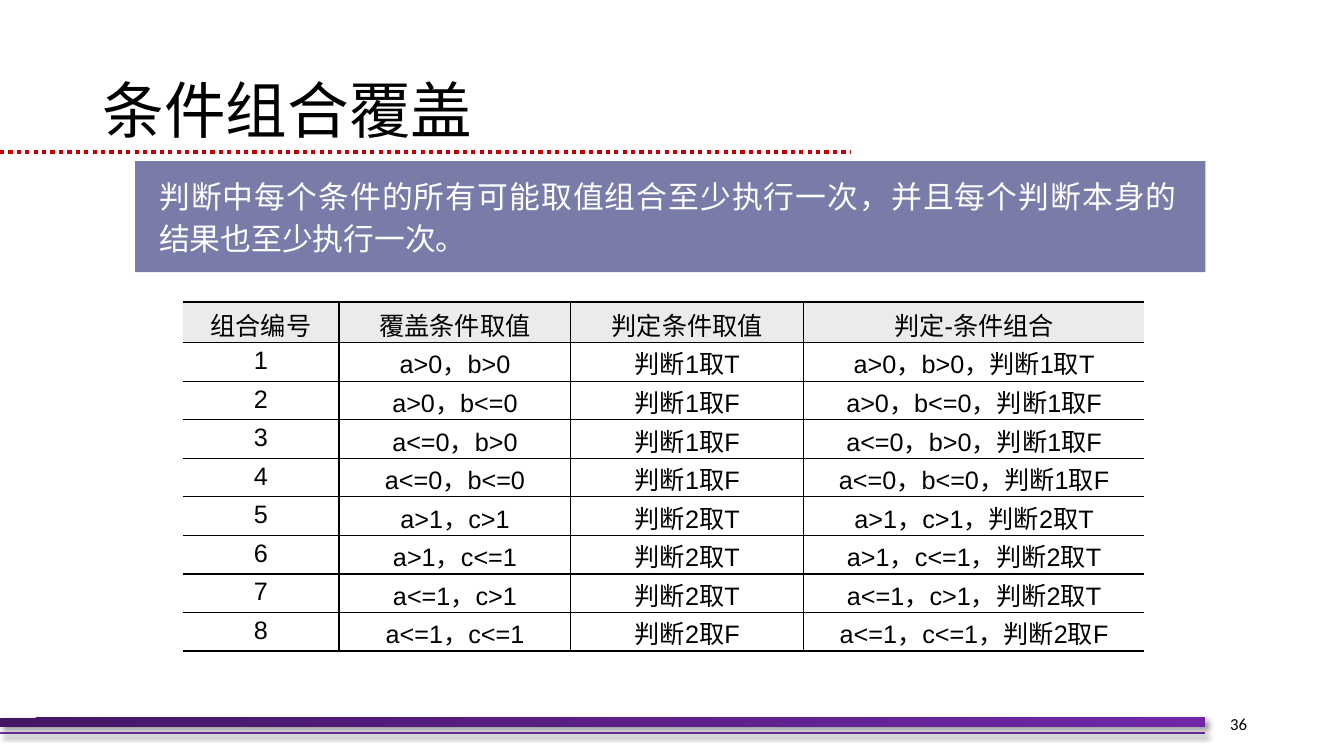
"""Build the slide on condition combination coverage."""
from itertools import groupby

from lxml import etree
from pptx import Presentation
from pptx.dml.color import RGBColor
from pptx.enum.dml import MSO_LINE
from pptx.enum.shapes import MSO_CONNECTOR, MSO_SHAPE
from pptx.enum.text import MSO_ANCHOR, MSO_AUTO_SIZE, PP_ALIGN
from pptx.oxml.ns import qn
from pptx.util import Pt

DOTS = MSO_LINE.ROUND_DOT
LINE = MSO_CONNECTOR.STRAIGHT
RECT = MSO_SHAPE.RECTANGLE
MID = MSO_ANCHOR.MIDDLE
FIXED = MSO_AUTO_SIZE.NONE
LEFT, CENTER, RIGHT = PP_ALIGN.LEFT, PP_ALIGN.CENTER, PP_ALIGN.RIGHT

HAN, LATIN = "Noto Sans CJK SC", "Arial"
BLACK, WHITE = "000000", "FFFFFF"
TITLE = "条件组合覆盖"
RULE = ("判断中每个条件的所有可能取值组合至少执行一次，并且每个判断本身的 ", "结果也至少执行一次。")
PAGE = "36"
HEAD = ("组合编号", "覆盖条件取值", "判定条件取值", "判定-条件组合")
CASES = [
    ("a>0，b>0", "判断1取T"),
    ("a>0，b<=0", "判断1取F"),
    ("a<=0，b>0", "判断1取F"),
    ("a<=0，b<=0", "判断1取F"),
    ("a>1，c>1", "判断2取T"),
    ("a>1，c<=1", "判断2取T"),
    ("a<=1，c>1", "判断2取T"),
    ("a<=1，c<=1", "判断2取F"),
]
WIDTHS = (111.6, 165.6, 166.3, 243.4)
TALL, LOW = 28.8, 27.55


def color(code):
    return RGBColor.from_string(code)


def style(run, size, face, code=BLACK):
    run.font.size = Pt(size)
    run.font.name = face
    run.font.color.rgb = color(code)
    if face == HAN:
        etree.SubElement(run.font._element, qn("a:ea")).set("typeface", face)


def is_han(char):
    return ord(char) > 0x2E80


def effect(shape, shade):
    props = shape._element.spPr
    for old in props.findall(qn("a:effectLst")):
        props.remove(old)
    box = etree.SubElement(props, qn("a:effectLst"))
    if shade:
        cast = etree.SubElement(box, qn("a:outerShdw"), blurRad=str(Pt(4)),
                                dist=str(Pt(3)), dir="2700000", rotWithShape="0")
        tone = etree.SubElement(cast, qn("a:srgbClr"), val=BLACK)
        etree.SubElement(tone, qn("a:alpha"), val="40000")


def rule(slide, end, top, code, width, shade=False):
    line = slide.shapes.add_connector(LINE, 0, Pt(top), Pt(end), Pt(top))
    line.line.color.rgb = color(code)
    line.line.width = Pt(width)
    effect(line, shade)
    return line


def block(slide, left, top, width, height):
    shape = slide.shapes.add_shape(RECT, Pt(left), Pt(top), Pt(width), Pt(height))
    shape.line.fill.background()
    shape.shadow.inherit = False
    return shape


def frame(slide):
    rule(slide, 860.4, 523.4, "7030A0", 1.5, True)
    bar = block(slide, 0, 512.6, 860.4, 6.5)
    bar.fill.gradient()
    bar.fill.gradient_angle = 315
    for stop, code in zip(bar.fill.gradient_stops, ("431764", "7128A8")):
        stop.color.rgb = color(code)
    effect(bar, True)
    rule(slide, 607.7, 108.7, "C00000", 3).line.dash_style = DOTS


def banner(slide):
    shape = block(slide, 96.5, 115.2, 764.6, 79.2)
    shape.fill.solid()
    shape.fill.fore_color.rgb = color("797BA9")
    text = shape.text_frame
    text.word_wrap = True
    text.vertical_anchor = MSO_ANCHOR.TOP
    text.margin_left, text.margin_top = Pt(17.3), Pt(7.9)
    text.margin_right = text.margin_bottom = 0
    para = text.paragraphs[0]
    para.alignment = LEFT
    para.line_spacing = Pt(30)
    for part, gap in zip(RULE, ("80", "0")):
        run = para.add_run()
        run.text = part
        style(run, 22, HAN, WHITE)
        run.font._element.set("spc", gap)


def border(cell, side, width):
    line = etree.Element(qn("a:ln" + side), w=str(Pt(width)))
    if width:
        fill = etree.SubElement(line, qn("a:solidFill"))
        etree.SubElement(fill, qn("a:srgbClr"), val=BLACK)
    else:
        etree.SubElement(line, qn("a:noFill"))
    return line


def fill_cell(cell, words, row, col):
    head = row == 0
    cell.margin_left = cell.margin_right = cell.margin_bottom = 0
    cell.margin_top = Pt(4.4 if head else 2.9 if col == 0 else 3.2)
    if head:
        cell.fill.solid()
        cell.fill.fore_color.rgb = color("ECEBEB")
    else:
        cell.fill.background()
    para = cell.text_frame.paragraphs[0]
    para.alignment = CENTER
    if head or col:
        para.line_spacing = Pt(24.3)
    for han, chars in groupby(words, is_han):
        run = para.add_run()
        run.text = "".join(chars)
        style(run, 18, HAN if han else LATIN)
    sides = {"L": 1 if col else 0, "R": 1 if col < len(WIDTHS) - 1 else 0,
             "T": 1.5 if head else 1, "B": 1.5 if row == len(CASES) else 1}
    for spot, (side, width) in enumerate(sides.items()):
        cell._tc.get_or_add_tcPr().insert(spot, border(cell, side, width))


def grid(slide):
    rows = [HEAD] + [(str(num), cond, test, cond + "，" + test)
                     for num, (cond, test) in enumerate(CASES, 1)]
    high = TALL + LOW * len(CASES)
    table = slide.shapes.add_table(len(rows), len(WIDTHS), Pt(130.6), Pt(216),
                                   Pt(sum(WIDTHS)), Pt(high)).table
    table.first_row = table.horz_banding = False
    for col, width in zip(table.columns, WIDTHS):
        col.width = Pt(width)
    for row, items in enumerate(rows):
        table.rows[row].height = Pt(LOW if row else TALL)
        for col, words in enumerate(items):
            fill_cell(table.cell(row, col), words, row, col)


def label(shape, words, size, face, align):
    text = shape.text_frame
    text.text = words
    text.word_wrap = True
    text.auto_size = FIXED
    text.vertical_anchor = MID
    para = text.paragraphs[0]
    para.alignment = align
    style(para.runs[0], size, face)
    return para


def main():
    deck = Presentation()
    deck.slide_width, deck.slide_height = Pt(960), Pt(540)
    slide = deck.slides.add_slide(deck.slide_layouts[5])
    frame(slide)
    banner(slide)
    grid(slide)
    page = slide.shapes.add_textbox(Pt(819.4), Pt(502.6), Pt(78.5), Pt(28.8))
    label(page, PAGE, 12, "Calibri", RIGHT)
    title = slide.shapes.title
    title.left, title.top = Pt(66.2), Pt(28.8)
    title.width, title.height = Pt(828), Pt(104.4)
    label(title, TITLE, 44, HAN, LEFT).line_spacing = 0.9
    deck.save("out.pptx")


if __name__ == "__main__":
    main()
